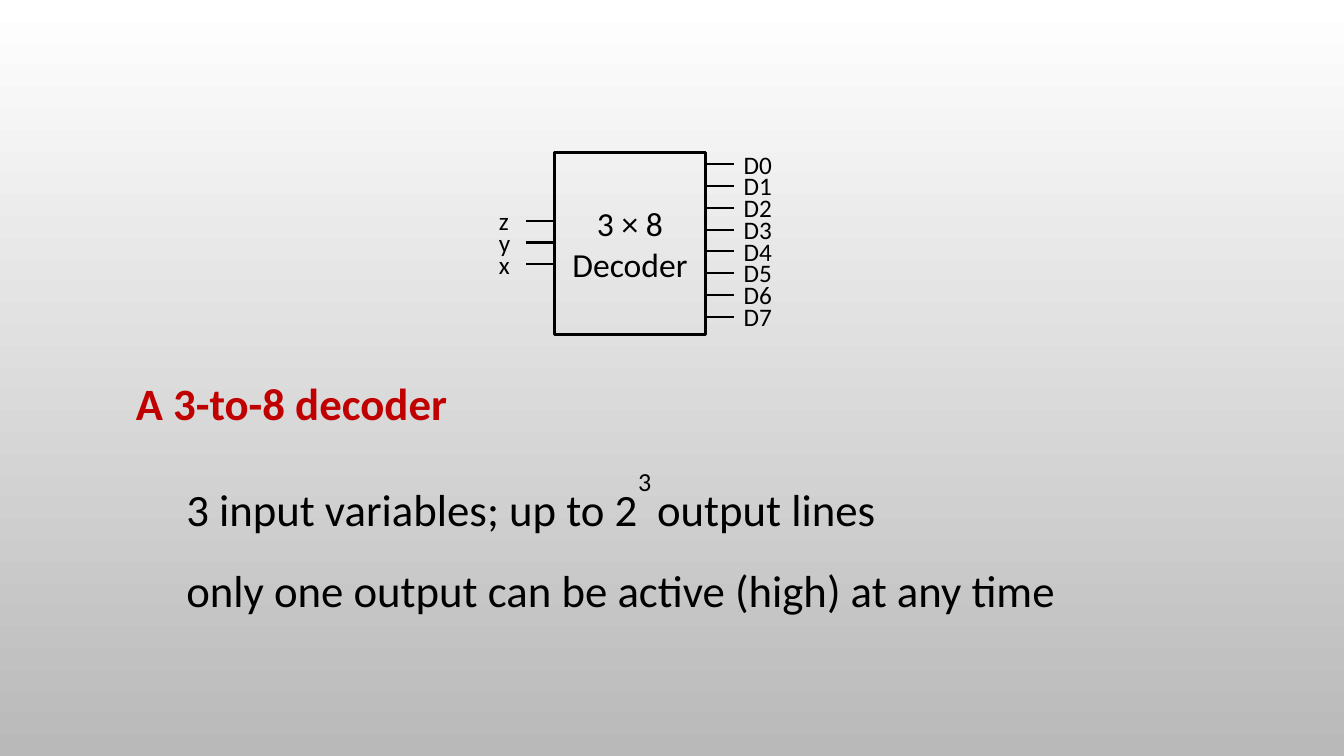
from pptx import Presentation
from pptx.dml.color import RGBColor
from pptx.enum.shapes import MSO_CONNECTOR, MSO_SHAPE
from pptx.enum.text import MSO_ANCHOR, MSO_AUTO_SIZE, PP_ALIGN
from pptx.oxml.ns import qn
from pptx.util import Pt
from lxml.etree import SubElement

FONT, BLACK, RED = "Calibri", "000000", "C00000"
BACKGROUND = ["FFFFFF", "B9B9B9"]
DECODER = ["3 × 8", "Decoder"]
INPUTS = ["z", "y", "x"]
OUTPUTS = [f"D{number}" for number in range(8)]
HEADING = "A 3-to-8 decoder"
FACTS = [
    [("3 input variables; up to 2", 0), ("3 ", 80), ("output lines", 0)],
    [("only one output can be active (high) at any time", 0)],
]

BOX_LEFT, BOX_TOP, BOX_WIDTH, BOX_HEIGHT = 396, 108.72, 108, 130.32
BOX_RIGHT = BOX_LEFT + BOX_WIDTH
PIN_LENGTH, PIN_PITCH = 20.16, 15.54
LABEL_RISE, LABEL_HEIGHT = 14.6, 29


def color(value):
    return RGBColor.from_string(value)


def style(paragraph, size, value=BLACK, bold=False):
    font = paragraph.font
    font.name, font.size, font.bold = FONT, Pt(size), bold
    font.color.rgb = color(value)


def add_text(left, top, width, height, wrap):
    frame = slide.shapes.add_textbox(Pt(left), Pt(top), Pt(width), Pt(height)).text_frame
    frame.word_wrap = wrap
    frame.auto_size = MSO_AUTO_SIZE.SHAPE_TO_FIT_TEXT
    return frame


def add_pins(labels, pin_left, first_y, label_left, label_width):
    for row, label in enumerate(labels):
        y = first_y + row * PIN_PITCH
        pin = slide.shapes.add_connector(
            MSO_CONNECTOR.STRAIGHT, Pt(pin_left), Pt(y), Pt(pin_left + PIN_LENGTH), Pt(y))
        pin.line.color.rgb = color(BLACK)
        pin.line.width = Pt(1.5)
        SubElement(pin.line._get_or_add_ln().getparent(), qn("a:effectLst"))
        frame = add_text(label_left, y - LABEL_RISE, label_width, LABEL_HEIGHT, False)
        frame.text = label
        style(frame.paragraphs[0], 18)


deck = Presentation()
deck.slide_width, deck.slide_height = Pt(960), Pt(540)
slide = deck.slides.add_slide(deck.slide_layouts[6])

backdrop = slide.background.fill
backdrop.gradient()
backdrop.gradient_angle = 270
for position, (stop, shade) in enumerate(zip(backdrop.gradient_stops, BACKGROUND)):
    stop.position = position
    stop.color.rgb = color(shade)

decoder = slide.shapes.add_shape(
    MSO_SHAPE.RECTANGLE, Pt(BOX_LEFT), Pt(BOX_TOP), Pt(BOX_WIDTH), Pt(BOX_HEIGHT))
decoder.shadow.inherit = False
decoder.fill.background()
decoder.line.color.rgb = color(BLACK)
decoder.line.width = Pt(2.25)
decoder.text_frame.text = "\n".join(DECODER)
decoder.text_frame.vertical_anchor = MSO_ANCHOR.MIDDLE
for paragraph in decoder.text_frame.paragraphs:
    paragraph.alignment = PP_ALIGN.CENTER
    style(paragraph, 24)

add_pins(OUTPUTS, BOX_RIGHT, 117.4, BOX_RIGHT + PIN_LENGTH, 35)
add_pins(INPUTS, BOX_LEFT - PIN_LENGTH, 157.7, 349.2, 23)

explanation = add_text(90, 265, 825.8, 156.2, True)
explanation.text = HEADING
style(explanation.paragraphs[0], 32, RED, True)
for fact in FACTS:
    paragraph = explanation.add_paragraph()
    paragraph.level = 1
    paragraph.line_spacing = 1.5
    properties = paragraph._p.get_or_add_pPr()
    properties.set("marL", str(Pt(36)))
    properties.set("indent", "0")
    style(paragraph, 32)
    for words, raised in fact:
        run = paragraph.add_run()
        run.text = words
        if raised:
            run.font._element.set("baseline", str(raised * 1000))

deck.save("out.pptx")
